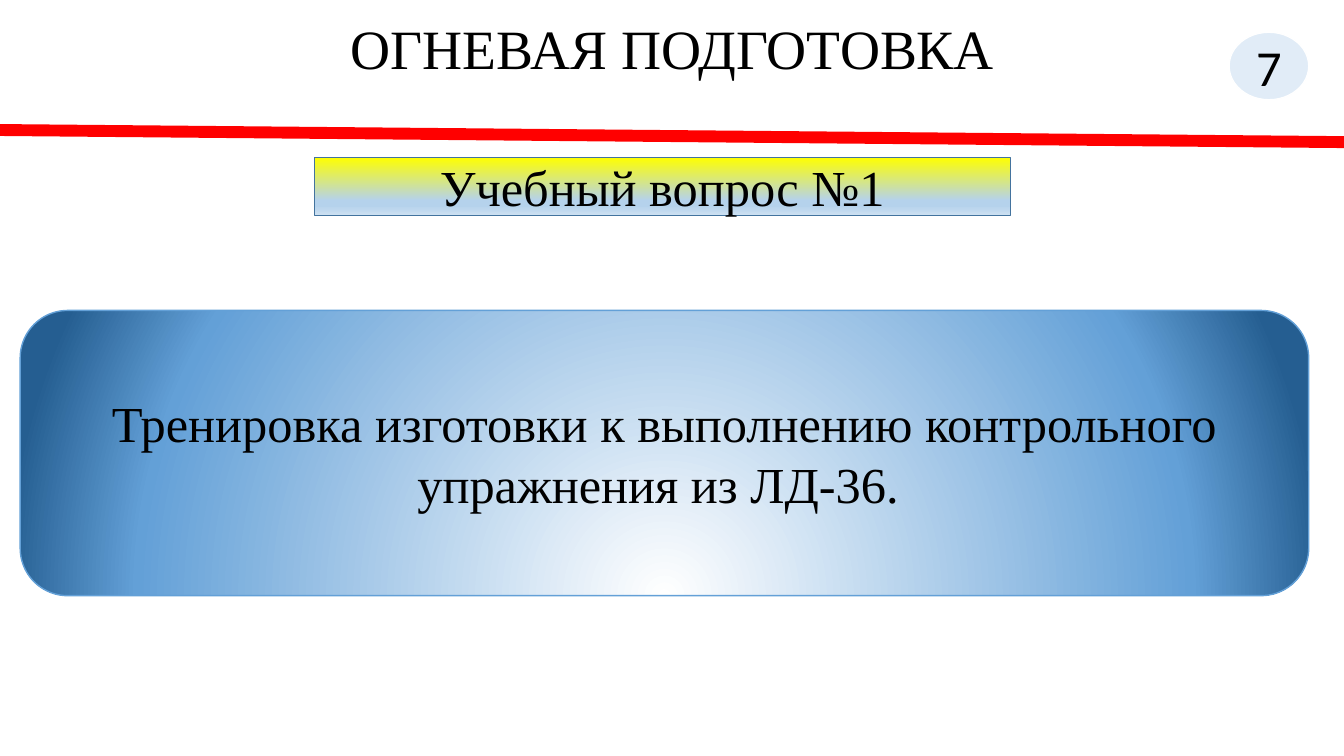
"""Build the lesson slide on weapons training."""
import pptx
import pptx.util
import pptx.dml.color
import pptx.enum.shapes
import pptx.enum.text
import pptx.oxml
import pptx.oxml.ns
import lxml.etree

Inches = pptx.util.Inches
Pt = pptx.util.Pt
RGBColor = pptx.dml.color.RGBColor
KIND = pptx.enum.shapes.MSO_SHAPE
BLACK = RGBColor(0, 0, 0)
WHITE = RGBColor(255, 255, 255)
RED = RGBColor(255, 0, 0)
YELLOW = RGBColor(255, 255, 0)
BLUE = RGBColor(0x5B, 0x9B, 0xD5)
SKY = RGBColor(0x63, 0xA0, 0xD7)
NAVY = RGBColor(0x25, 0x5E, 0x91)
STEEL = RGBColor(0x43, 0x73, 0x9E)
PALE = RGBColor(0xB5, 0xD2, 0xEC)
MIST = RGBColor(0xCE, 0xE1, 0xF2)
SERIF = "Times New Roman"


def write(shape, text, font, size):
    frame = shape.text_frame
    frame.text = text
    frame.word_wrap = True
    frame.vertical_anchor = pptx.enum.text.MSO_ANCHOR.MIDDLE
    line = frame.paragraphs[0]
    line.alignment = pptx.enum.text.PP_ALIGN.CENTER
    for run in line.runs:
        run.font.name = font
        run.font.size = Pt(size)
        run.font.color.rgb = BLACK


def blend(shape, stops, shade):
    marks = "".join(
        f'<a:gs pos="{spot * 1000}"><a:srgbClr val="{tint}"/></a:gs>'
        for spot, tint in stops)
    grad = pptx.oxml.parse_xml(
        f'<a:gradFill {pptx.oxml.ns.nsdecls("a")} rotWithShape="1">'
        f"<a:gsLst>{marks}</a:gsLst>{shade}</a:gradFill>")
    shape.fill.solid()
    old = shape.fill._xPr.find(pptx.oxml.ns.qn("a:solidFill"))
    old.getparent().replace(old, grad)


deck = pptx.Presentation()
deck.slide_width = Inches(13.33)
deck.slide_height = Inches(7.5)
slide = deck.slides.add_slide(deck.slide_layouts[6])
shapes = slide.shapes

title = shapes.add_textbox(Inches(0.92), Inches(0.23), Inches(11.5), Inches(0.57))
write(title, "ОГНЕВАЯ ПОДГОТОВКА", SERIF, 39.6)
title.text_frame.margin_top = title.text_frame.margin_bottom = 0
title.text_frame.paragraphs[0].line_spacing = 0.9

rule = shapes.add_connector(
    pptx.enum.shapes.MSO_CONNECTOR.STRAIGHT,
    Inches(0), Inches(1.29), Inches(13.33), Inches(1.41))
rule.line.color.rgb = RED
rule.line.width = Pt(8.5)
props = rule._element.spPr
lxml.etree.SubElement(props, pptx.oxml.ns.qn("a:effectLst"))

items = [
    (KIND.OVAL, 12.19, 0.32, 0.79, 0.67, WHITE, "7", "Calibri"),
    (KIND.RECTANGLE, 3.12, 1.56, 6.9, 0.58, STEEL, "Учебный вопрос №1", SERIF),
    (KIND.ROUNDED_RECTANGLE, 0.2, 3.08, 12.78, 2.83, SKY,
     "Тренировка изготовки к выполнению контрольного упражнения из ЛД-36. ", SERIF),
]
made = []
for kind, left, top, width, height, edge, text, font in items:
    shape = shapes.add_shape(
        kind, Inches(left), Inches(top), Inches(width), Inches(height))
    shape.shadow.inherit = False
    shape.line.color.rgb = edge
    shape.line.width = Pt(1)
    write(shape, text, font, 36)
    made.append(shape)
badge, label, panel = made

badge.fill.solid()
badge.fill.fore_color.rgb = BLUE
tint = badge.fill._xPr.find(".//" + pptx.oxml.ns.qn("a:srgbClr"))
lxml.etree.SubElement(tint, pptx.oxml.ns.qn("a:alpha"), val="18000")

blend(label, [(0, YELLOW), (74, PALE), (83, PALE), (100, MIST)],
      '<a:lin ang="5400000" scaled="1"/>')
blend(panel, [(0, WHITE), (80, SKY), (100, NAVY)],
      '<a:path path="circle">'
      '<a:fillToRect l="50000" t="130000" r="50000" b="-30000"/></a:path>')

deck.save("out.pptx")
